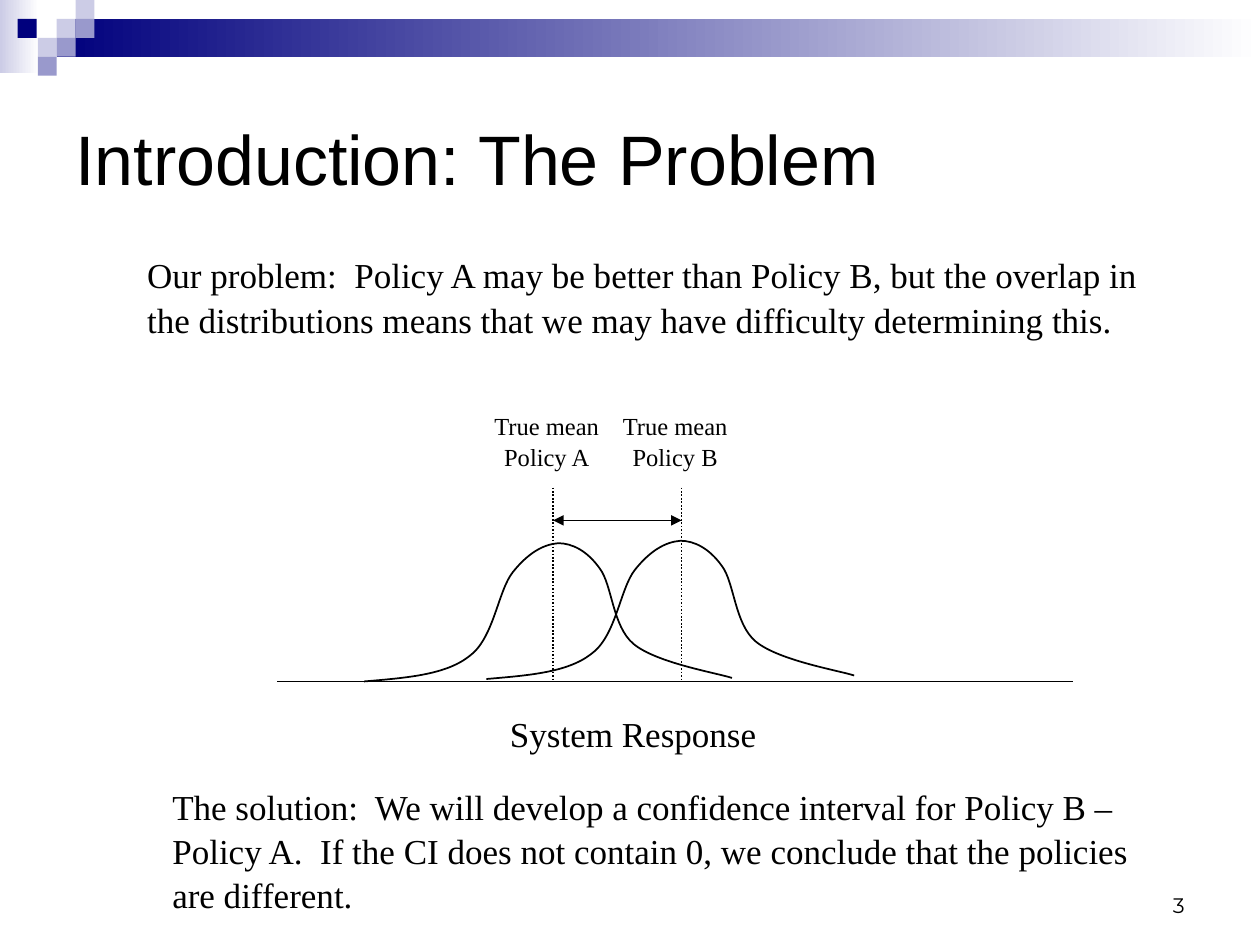
from lxml import etree
from pptx import Presentation
from pptx.dml.color import RGBColor
from pptx.enum import dml, shapes, text
from pptx.oxml import ns
from pptx.util import Pt

COLORS = {"navy": "00007D", "violet": "9999CC", "lilac": "CCCCE6",
          "white": "FFFFFF", "black": "000000"}
SERIF = "Times New Roman"
BELL = [(0, 79), (23, 77), (46, 75.5), (59.8, 64.8),
        (74.2, 54.7), (76.3, 27.4), (85, 16.5),
        (93.6, 5.8), (102.2, 0.7), (110.9, 0),
        (118.8, 0), (127.4, 4.3), (134.6, 14.4),
        (141.8, 23.8), (141.8, 47.5), (154, 57.6),
        (167, 68.4), (201.6, 74.2), (210.2, 77)]


def rgb(name):
    return RGBColor.from_string(COLORS[name])


def add_text(s, box, content, size=20, font=SERIF, align=text.PP_ALIGN.LEFT,
             anchor=text.MSO_ANCHOR.TOP, spacing=1.05):
    tf = s.shapes.add_textbox(*map(Pt, box)).text_frame
    tf.word_wrap = True
    tf.vertical_anchor = anchor
    p = tf.paragraphs[0]
    p.alignment = align
    p.line_spacing = spacing
    for i, line in enumerate(content.split("\n")):
        if i:
            p.add_line_break()
        r = p.add_run()
        r.text = line
        r.font.size = Pt(size)
        r.font.name = font
        r.font.color.rgb = rgb("black")


def add_rect(s, box, color, fade=False):
    sp = s.shapes.add_shape(shapes.MSO_SHAPE.RECTANGLE, *map(Pt, box))
    sp.shadow.inherit = False
    sp.line.fill.background()
    if fade:
        sp.fill.gradient()
        sp.fill.gradient_angle = 0
        for stop, name, pos in zip(sp.fill.gradient_stops, (color, "white"), (0, 1)):
            stop.color.rgb = rgb(name)
            stop.position = pos
    else:
        sp.fill.solid()
        sp.fill.fore_color.rgb = rgb(color)


def add_line(s, x1, y1, x2, y2, dotted=False, arrows=False):
    sp = s.shapes.add_connector(shapes.MSO_CONNECTOR.STRAIGHT,
                                *map(Pt, (x1, y1, x2, y2)))
    sp.line.width = Pt(1)
    sp.line.color.rgb = rgb("black")
    if dotted:
        sp.line.dash_style = dml.MSO_LINE.ROUND_DOT
    if arrows:
        for end in ("a:headEnd", "a:tailEnd"):
            etree.SubElement(sp.line._get_or_add_ln(), ns.qn(end), type="triangle")
    etree.SubElement(sp._element.spPr, ns.qn("a:effectLst"))


def add_bell(s, x, y):
    points = [(Pt(x + dx), Pt(y + dy)) for dx, dy in BELL]
    builder = s.shapes.build_freeform(*points[0])
    builder.add_line_segments(points[1:], close=False)
    sp = builder.convert_to_shape()
    sp.shadow.inherit = False
    sp.fill.background()
    sp.line.width = Pt(1)
    sp.line.color.rgb = rgb("black")
    path = next(sp._element.iter(ns.qn("a:path")))
    segments = path.findall(ns.qn("a:lnTo"))
    for i in range(0, len(segments), 3):
        curve = etree.SubElement(path, ns.qn("a:cubicBezTo"))
        for segment in segments[i:i + 3]:
            curve.append(segment[0])
            path.remove(segment)


def add_banner(s, x, y, width):
    cell = 10.8
    add_rect(s, (x, y, 22.3, 41.8), "lilac", fade=True)
    add_rect(s, (x + 32.4, y + cell, width - 32.4, 2 * cell), "navy", fade=True)
    tiles = [(32.4, 1, "lilac"), (43.2, 0, "lilac"), (43.2, 1, "violet"),
             (21.6, 2, "lilac"), (10.1, 1, "navy"), (32.4, 2, "violet"),
             (21.6, 3, "violet")]
    for dx, row, color in tiles:
        add_rect(s, (x + dx, y + row * cell, cell, cell), color)


def add_diagram(s, x, y, width):
    base = y + 159.1
    add_line(s, x, base, x + width, base)
    means = [("A", 157.7, 49.7, 80), ("B", 231.1, 119.5, 78.6)]
    for policy, mean, bell, top in means:
        add_bell(s, x + bell, y + top)
        add_line(s, x + mean, y + 48.2, x + mean, base - 1, dotted=True)
        add_text(s, (x + mean - 59.8, y, 112.3, 41),
                 f"True mean\nPolicy {policy}", 14, align=text.PP_ALIGN.CENTER)
    add_line(s, x + means[0][1], y + 67, x + means[1][1], y + 67, arrows=True)
    add_text(s, (x + 90, y + 172, 226.8, 31.7), "System Response",
             align=text.PP_ALIGN.CENTER)


def main():
    prs = Presentation()
    prs.slide_width, prs.slide_height = Pt(720), Pt(540)
    s = prs.slides.add_slide(prs.slide_layouts[6])
    add_banner(s, 0, 0, 720)
    add_text(s, (516, 492, 168, 36), "3", 12, "Montserrat",
             text.PP_ALIGN.RIGHT, text.MSO_ANCHOR.BOTTOM, 1)
    add_text(s, (36, 36, 648, 108), "Introduction: The Problem", 40, "Arial",
             anchor=text.MSO_ANCHOR.MIDDLE, spacing=1)
    add_text(s, (77, 140.4, 584, 55.4),
             "Our problem:  Policy A may be better than Policy B, but the overlap "
             "in the distributions means that we may have difficulty determining this.")
    add_diagram(s, 158.4, 230.4, 455)
    add_text(s, (91.4, 444.2, 584, 79.2),
             "The solution:  We will develop a confidence interval for Policy B – "
             "Policy A.  If the CI does not contain 0, we conclude that the policies "
             "are different.")
    prs.save("out.pptx")


if __name__ == "__main__":
    main()
